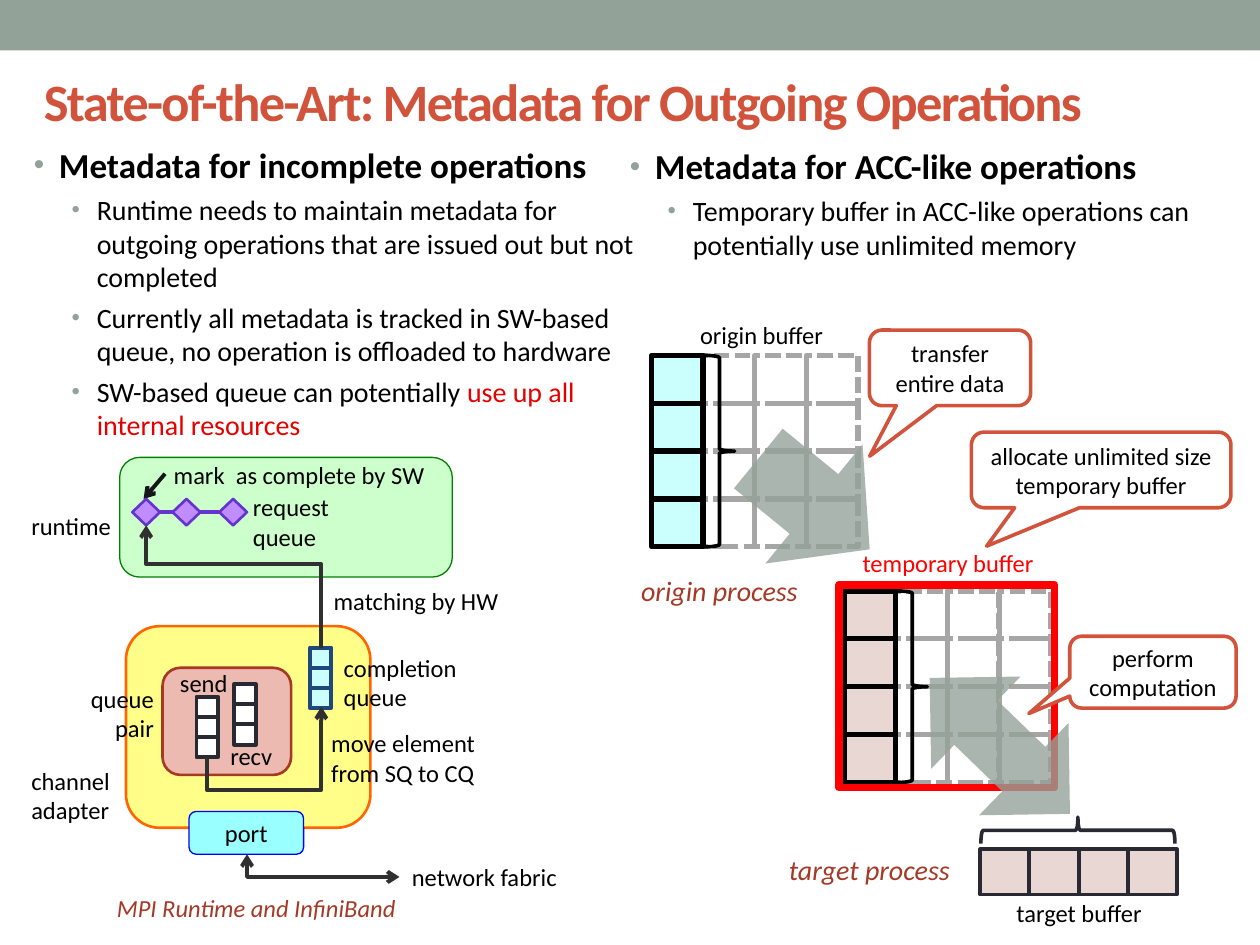
from dataclasses import dataclass

import pptx
import pptx.dml.color
import pptx.enum.dml
import pptx.enum.shapes
import pptx.enum.text
import pptx.oxml.ns
import pptx.oxml.xmlchemy
import pptx.util
from pptx.util import Inches

SHAPE = pptx.enum.shapes.MSO_SHAPE
CONNECTOR = pptx.enum.shapes.MSO_CONNECTOR
ALIGN = pptx.enum.text.PP_ALIGN
ANCHOR = pptx.enum.text.MSO_ANCHOR
qn = pptx.oxml.ns.qn


@dataclass(frozen=True)
class Theme:
    font: str = "Calibri"
    title: int = 30
    heading: int = 20
    body: int = 16
    label: int = 14
    black: str = "000000"
    white: str = "FFFFFF"
    sage: str = "93A299"
    coral: str = "D2533C"
    brick: str = "A53926"
    alert: str = "E50000"
    red: str = "FF0000"
    ink: str = "292934"
    link: str = "303030"
    mark: str = "15151A"
    dash: str = "A6A6A6"
    aqua: str = "CAFFFE"
    blush: str = "E9D7D3"
    navy: str = "1F497D"
    violet: str = "6633CC"


THEME = Theme()


def rgb(value):
    return pptx.dml.color.RGBColor.from_string(value)


def add_xml(parent, tag, **attributes):
    element = pptx.oxml.xmlchemy.OxmlElement(tag)
    for key, value in attributes.items():
        element.set(key, str(value))
    parent.append(element)
    return element


def write(paragraph, text, size=THEME.label, color=THEME.black, bold=False,
          italic=False, align=ALIGN.LEFT, spacing=None):
    paragraph.alignment = align
    run = paragraph.add_run()
    run.text = text
    run.font.name, run.font.size = THEME.font, pptx.util.Pt(size)
    run.font.bold, run.font.italic = bold, italic
    run.font.color.rgb = rgb(color)
    if spacing is not None:
        run._r.get_or_add_rPr().set("spc", str(spacing))


@dataclass
class Region:
    """A part of the slide; its contents are placed from its left top corner."""
    slide: object
    left: float
    top: float

    def box(self, x, y, w, h):
        return Inches(self.left + x), Inches(self.top + y), Inches(w), Inches(h)

    def text(self, x, y, w, h, text="", anchor=ANCHOR.TOP, **style):
        frame = self.slide.shapes.add_textbox(*self.box(x, y, w, h)).text_frame
        frame.word_wrap = True
        frame.vertical_anchor = anchor
        if text:
            write(frame.paragraphs[0], text, **style)
        return frame

    def shape(self, kind, x, y, w, h, fill=None, line=None, width=0.75, dash=None,
              rotation=0, alpha=None, adjust=(), text=None):
        item = self.slide.shapes.add_shape(kind, *self.box(x, y, w, h))
        item.shadow.inherit = False
        item.rotation = rotation
        for index, value in enumerate(adjust):
            item.adjustments[index] = value
        if fill:
            item.fill.solid()
            item.fill.fore_color.rgb = rgb(fill)
        else:
            item.fill.background()
        if alpha:
            color = item._element.spPr.find(qn("a:solidFill"))[0]
            add_xml(color, "a:alpha", val=alpha * 1000)
        if line:
            item.line.color.rgb = rgb(line)
            item.line.width = pptx.util.Pt(width)
            if dash:
                item.line.dash_style = dash
        else:
            item.line.fill.background()
        if text:
            write(item.text_frame.paragraphs[0], text, align=ALIGN.CENTER)
        return item

    def connect(self, start, end, color, kind=CONNECTOR.STRAIGHT, head=False, tail=False):
        x1, y1, x2, y2 = (*self.box(*start, 0, 0)[:2], *self.box(*end, 0, 0)[:2])
        item = self.slide.shapes.add_connector(kind, x1, y1, x2, y2)
        item.line.color.rgb = rgb(color)
        item.line.width = pptx.util.Pt(2.25)
        properties = item._element.spPr
        for tag, wanted in (("a:headEnd", head), ("a:tailEnd", tail)):
            if wanted:
                add_xml(properties.find(qn("a:ln")), tag, type="arrow")
        add_xml(properties, "a:effectLst")
        return item

    def elbow(self, start, end, rotation, flips, bend=None, head=False):
        """Route that leaves its start vertically: a turned horizontal elbow."""
        middle_x, middle_y = (start[0] + end[0]) / 2, (start[1] + end[1]) / 2
        w, h = abs(end[1] - start[1]), abs(end[0] - start[0])
        x, y = middle_x - w / 2, middle_y - h / 2
        item = self.connect((x, y), (x + w, y + h), THEME.link, CONNECTOR.ELBOW, head, True)
        frame = item._element.spPr.find(qn("a:xfrm"))
        frame.set("rot", str(rotation * 60000))
        for axis in flips:
            frame.set("flip" + axis, "1")
        geometry = item._element.spPr.find(qn("a:prstGeom"))
        if bend is None:
            geometry.set("prst", "bentConnector2")
        else:
            add_xml(geometry.find(qn("a:avLst")), "a:gd", name="adj1",
                    fmla=f"val {round(bend * 100000)}")

    def cells(self, x, y, w, h, columns, rows, **style):
        for row in range(rows):
            for column in range(columns):
                self.shape(SHAPE.RECTANGLE, x + column * w, y + row * h, w, h, **style)

    def callout(self, x, y, w, h, text, pointer):
        self.shape(SHAPE.ROUNDED_RECTANGULAR_CALLOUT, x, y, w, h, fill=THEME.white,
                   line=THEME.coral, width=2.08, adjust=(*pointer, 0.167), text=text)


def header(region):
    region.shape(SHAPE.RECTANGLE, 0, 0, 10, 0.4, fill=THEME.sage)
    region.text(0.25, 0.37, 9.75, 0.85, "State-of-the-Art: Metadata for Outgoing Operations",
                anchor=ANCHOR.MIDDLE, size=THEME.title, color=THEME.coral, bold=True,
                spacing=-100)


def bullets(region, w, h, heading, points):
    frame = region.text(0, 0, w, h)
    for index, runs in enumerate([[(heading, THEME.black)], *points]):
        first = index == 0
        paragraph = frame.paragraphs[0] if first else frame.add_paragraph()
        properties = paragraph._p.get_or_add_pPr()
        properties.set("marL", str(Inches(0.2 if first else 0.5)))
        properties.set("indent", str(Inches(-0.2)))
        if not first:
            paragraph.level = 1
            paragraph.space_before = pptx.util.Pt(4)
        add_xml(add_xml(properties, "a:buClr"), "a:srgbClr", val=THEME.sage)
        add_xml(properties, "a:buSzPct", val=85000)
        add_xml(properties, "a:buFont", typeface="Arial")
        add_xml(properties, "a:buChar", char="•")
        for text, color in runs:
            write(paragraph, text, size=THEME.heading if first else THEME.body,
                  color=color, bold=first)


def runtime_panel(region):
    region.shape(SHAPE.ROUNDED_RECTANGLE, 0, 0, 2.64, 0.95, fill="CCFFCC", line="008000")
    region.text(-0.8, 0.38, 1.17, 0.34, "runtime")
    region.text(0.96, 0.23, 0.87, 0.57, "request queue")
    region.text(0.33, -0.03, 2.31, 0.34, "mark  as complete by SW")
    region.connect((0.36, 0.13), (0.19, 0.33), THEME.mark, tail=True)
    # Linked request queue
    requests = [region.shape(SHAPE.DIAMOND, x, 0.33, 0.22, 0.21, fill="BF8DFF",
                             line=THEME.violet, width=1.5) for x in (0.1, 0.42, 0.79)]
    for before, after in zip(requests, requests[1:]):
        link = region.connect((0, 0), (0, 0), THEME.violet)
        link.begin_connect(before, 3)
        link.end_connect(after, 1)


def adapter_panel(region):
    region.shape(SHAPE.ROUNDED_RECTANGLE, 0, 0, 1.94, 1.6, fill="FFFE89", line="FF6600",
                 width=1.5)
    region.shape(SHAPE.ROUNDED_RECTANGLE, 0.29, 0.33, 1.02, 0.85, fill="EDBAB1",
                 line=THEME.brick, width=1.5)
    # Send, receive and completion queues
    for x, y, fill, line in ((0.56, 0.56, THEME.white, THEME.ink),
                             (0.86, 0.46, THEME.white, THEME.ink),
                             (1.46, 0.17, THEME.aqua, THEME.navy)):
        region.cells(x, y, 0.17, 0.16, 1, 3, fill=fill, line=line, width=2.25)
    region.shape(SHAPE.ROUNDED_RECTANGLE, 0.5, 1.47, 0.91, 0.34, fill="99FFFF",
                 line="0000FF", text="port")
    # Routes
    region.elbow((0.96, 1.81), (2.17, 1.99), 270, "H", head=True)
    region.elbow((0.64, 1.04), (1.55, 0.64), 90, "HV", bend=-0.647)
    region.elbow((1.55, 0.17), (0.16, -0.8), 270, "V", bend=0.683)
    # Labels
    region.text(-0.51, 0.41, 0.83, 0.57, "queue pair", align=ALIGN.RIGHT)
    for x, y, w, h, label in ((0.33, 0.28, 0.6, 0.34, "send"),
                              (0.73, 0.86, 0.6, 0.34, "recv"),
                              (1.63, 0.16, 1.17, 0.57, "completion queue"),
                              (-0.85, 1.06, 1.17, 0.57, "channel adapter"),
                              (2.17, 1.82, 1.55, 0.34, "network fabric"),
                              (1.53, 0.76, 1.41, 0.57, "move element from SQ to CQ"),
                              (1.55, -0.37, 1.77, 0.34, "matching by HW")):
        region.text(x, y, w, h, label)
    region.text(-0.53, 2.07, 3.13, 0.34, "MPI Runtime and InfiniBand", color=THEME.brick,
                italic=True, align=ALIGN.CENTER)


def buffer_matrix(region, fill):
    w, h = 0.41, 0.38
    region.cells(w, 0, w, h, 3, 4, line=THEME.dash, width=3,
                 dash=pptx.enum.dml.MSO_LINE.SQUARE_DOT)
    region.cells(0, 0, w, h, 1, 4, fill=fill, line=THEME.black, width=3)
    region.shape(SHAPE.LEFT_BRACE, 0.42, 0, 0.24, 4 * h, line=THEME.black, width=2.08,
                 rotation=180)


def process_name(region, x, y, text):
    region.text(x, y, 1.62, 0.37, text, size=THEME.body, color=THEME.brick, italic=True,
                align=ALIGN.CENTER)


def target_process(region):
    region.text(1.54, 2.78, 1.87, 0.34, "target buffer", align=ALIGN.CENTER)
    process_name(region, 0, 2.42, "target process")
    region.text(0.35, 0, 2.17, 0.34, "temporary buffer", color=THEME.red, align=ALIGN.CENTER)
    buffer_matrix(Region(region.slide, region.left + 0.61, region.top + 0.39), THEME.blush)
    region.shape(SHAPE.RECTANGLE, 0.57, 0.34, 1.71, 1.61, line=THEME.red, width=4.5)
    # Target buffer row
    region.cells(1.69, 2.44, 0.39, 0.36, 4, 1, fill=THEME.blush, line=THEME.ink, width=2.25)
    region.shape(SHAPE.LEFT_BRACE, 2.36, 1.52, 0.21, 1.54, line=THEME.ink, width=2.08,
                 rotation=90)
    region.callout(1.62, -0.87, 2.06, 0.6, "allocate unlimited size temporary buffer",
                   (-0.441, 1.008))
    region.shape(SHAPE.LEFT_RIGHT_ARROW, 1.07, 1.11, 1.55, 1.02, fill=THEME.sage, alpha=79,
                 rotation=44.1, adjust=(0.482, 0.5))
    region.callout(2.4, 0.75, 1.32, 0.57, "perform computation", (-0.746, 0.576))


def origin_process(region):
    buffer_matrix(Region(region.slide, region.left + 0.27, region.top + 0.33), THEME.aqua)
    region.shape(SHAPE.UP_ARROW, 0.95, 0.94, 1.22, 1.14, fill=THEME.sage, alpha=79,
                 rotation=129.2)
    process_name(region, 0, 2.01, "origin process")
    region.text(0.21, 0, 1.87, 0.34, "origin buffer", align=ALIGN.CENTER)
    region.callout(2, 0.13, 1.28, 0.6, "transfer entire data", (-0.498, 1.168))


def main():
    deck = pptx.Presentation()
    deck.slide_width, deck.slide_height = Inches(10), Inches(7.5)
    slide = deck.slides.add_slide(deck.slide_layouts[6])
    header(Region(slide, 0, 0))
    bullets(Region(slide, 0.17, 1.09), 4.97, 2.37, "Metadata for incomplete operations", [
        [("Runtime needs to maintain metadata for outgoing operations that are issued out "
          "but not completed", THEME.black)],
        [("Currently all metadata is tracked in SW-based queue, no operation is offloaded "
          "to hardware", THEME.black)],
        [("SW-based queue can potentially ", THEME.black),
         ("use up all internal resources", THEME.alert)]])
    runtime_panel(Region(slide, 0.95, 3.63))
    adapter_panel(Region(slide, 1, 4.97))
    bullets(Region(slide, 4.9, 1.1), 5.1, 1.4, "Metadata for ACC-like operations", [
        [("Temporary buffer in ACC-like operations can potentially use unlimited memory",
          THEME.black)]])
    target_process(Region(slide, 6.09, 4.3))
    origin_process(Region(slide, 4.9, 2.49))
    deck.save("out.pptx")


if __name__ == "__main__":
    main()
